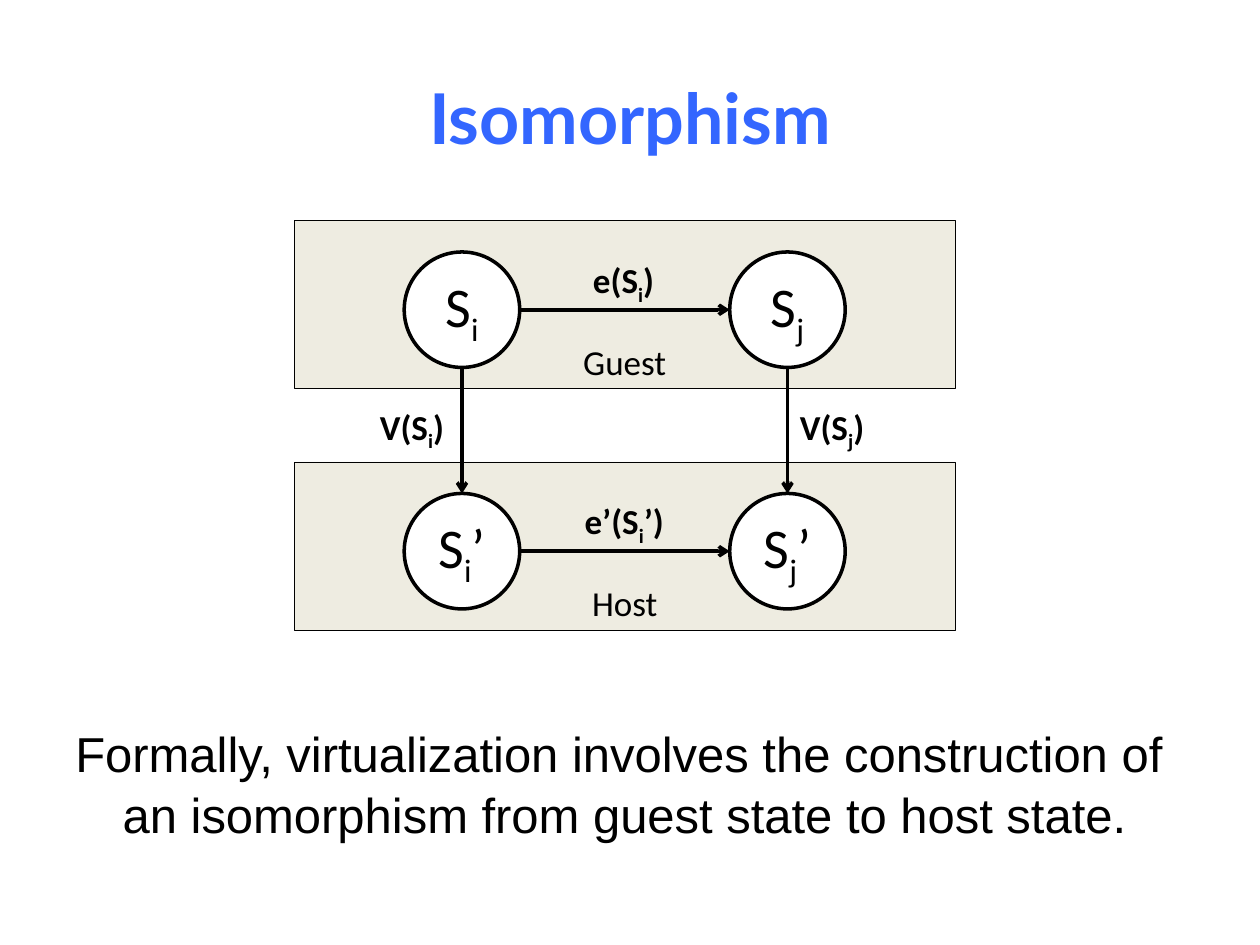
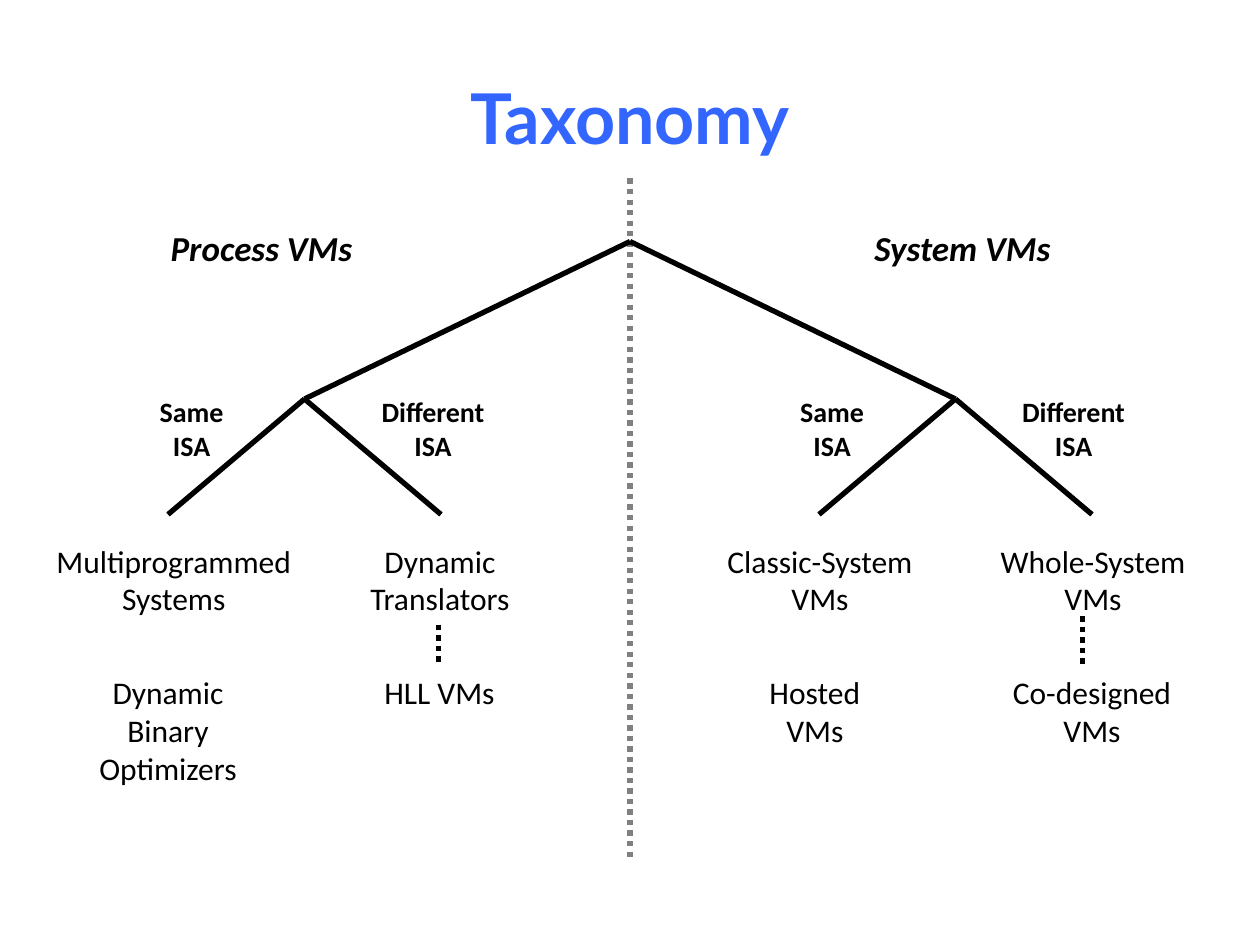
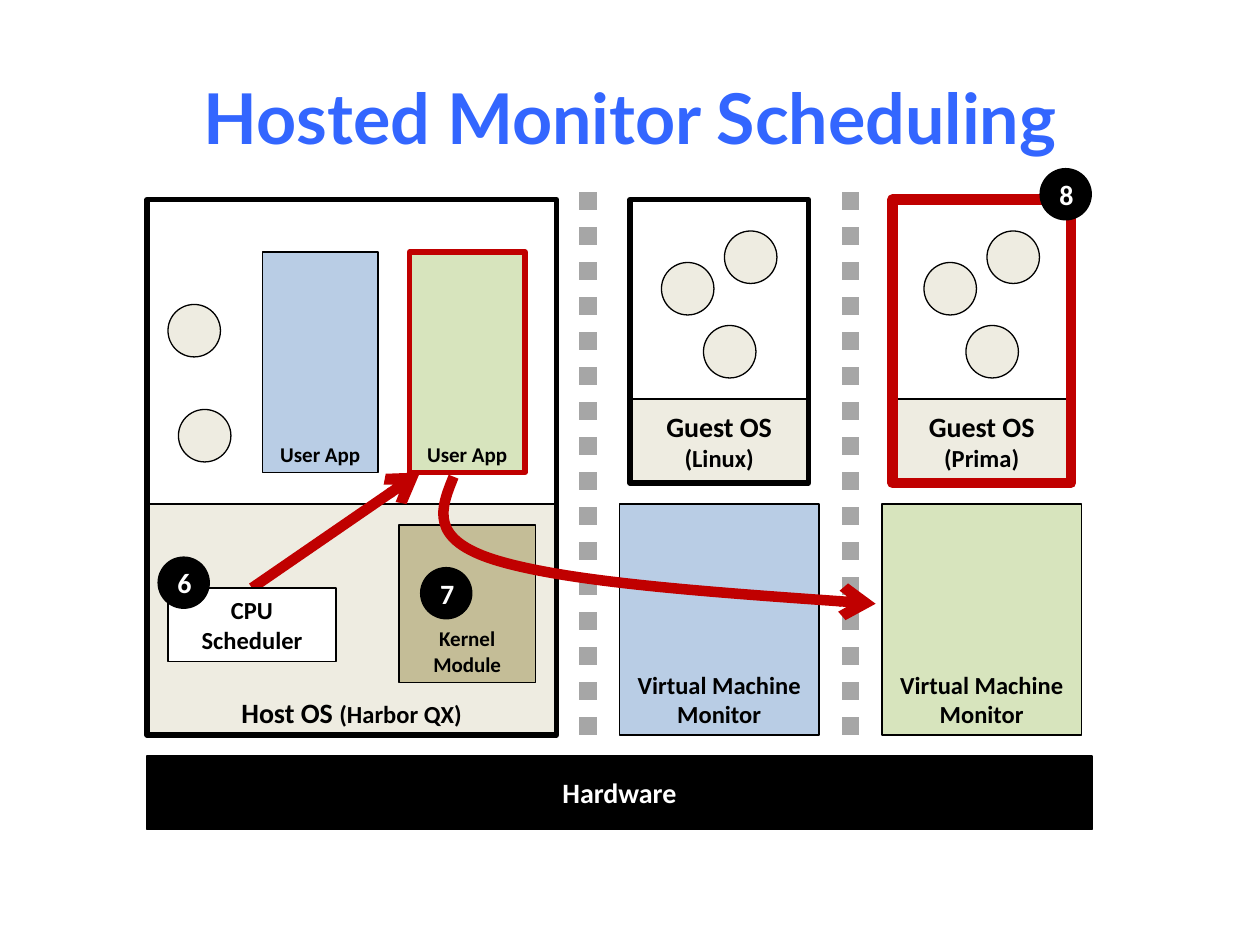
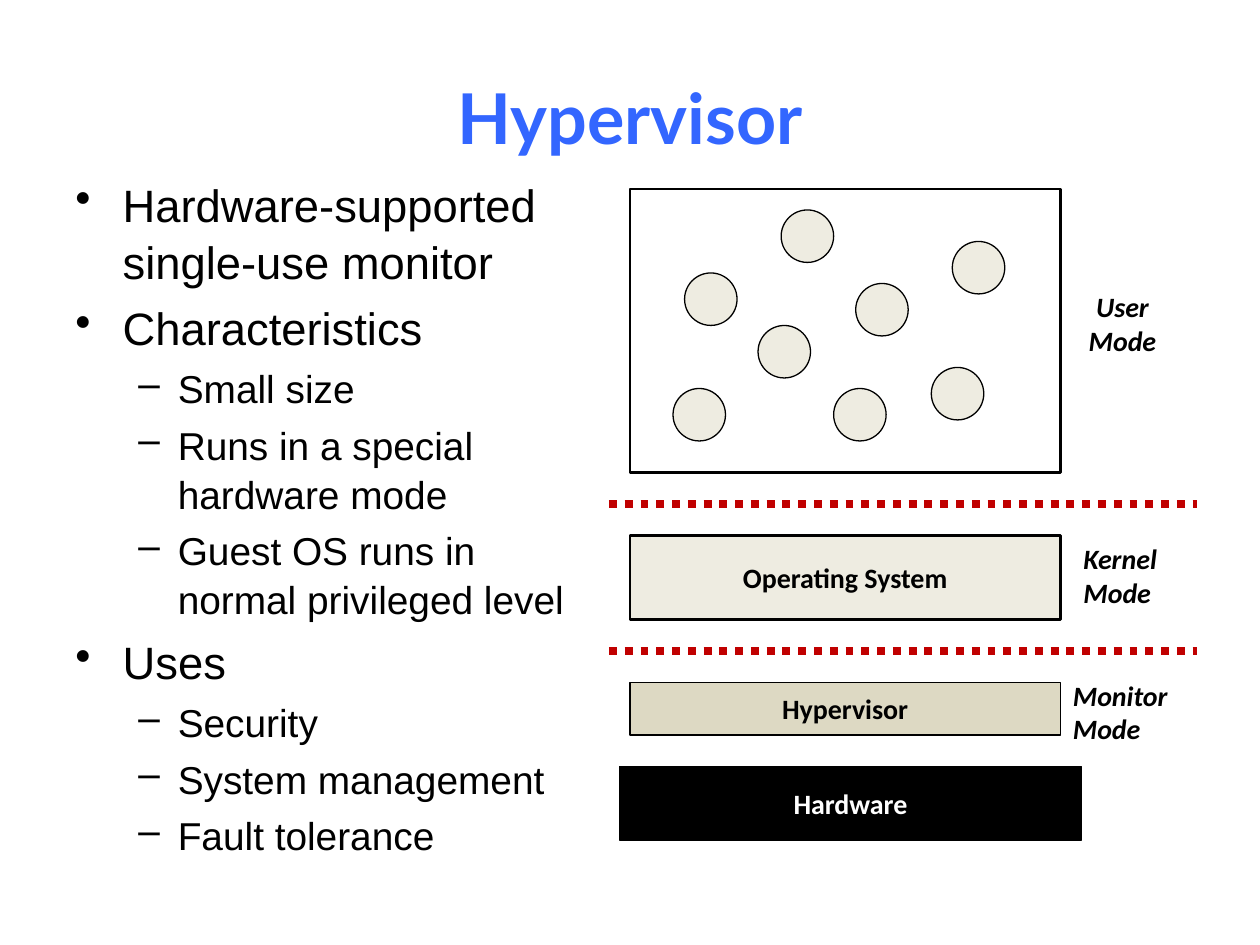
from dataclasses import dataclass, replace
from typing import NamedTuple, Optional, Sequence

from pptx import Presentation
from pptx.dml.color import RGBColor
from pptx.enum.dml import MSO_LINE
from pptx.enum.shapes import MSO_CONNECTOR, MSO_SHAPE
from pptx.enum.text import MSO_ANCHOR, MSO_AUTO_SIZE, PP_ALIGN
from pptx.oxml.ns import qn
from pptx.oxml.xmlchemy import OxmlElement
from pptx.util import Cm, Length, Pt

RECT = MSO_SHAPE.RECTANGLE
OVAL = MSO_SHAPE.OVAL
STRAIGHT = MSO_CONNECTOR.STRAIGHT
DOTTED = MSO_LINE.ROUND_DOT
LEFT, CENTER = PP_ALIGN.LEFT, PP_ALIGN.CENTER
TOP, MIDDLE, BOTTOM = MSO_ANCHOR.TOP, MSO_ANCHOR.MIDDLE, MSO_ANCHOR.BOTTOM

BLACK = RGBColor(0x00, 0x00, 0x00)
WHITE = RGBColor(0xFF, 0xFF, 0xFF)
TITLE_BLUE = RGBColor(0x33, 0x66, 0xFF)
CREAM = RGBColor(0xEE, 0xEC, 0xE1)
SAND = RGBColor(0xDD, 0xD9, 0xC3)
KHAKI = RGBColor(0xC4, 0xBD, 0x97)
SKY = RGBColor(0xB9, 0xCD, 0xE5)
LEAF = RGBColor(0xD7, 0xE4, 0xBD)
RED = RGBColor(0xC0, 0x00, 0x00)
GRAY = RGBColor(0x80, 0x80, 0x80)
SILVER = RGBColor(0xA6, 0xA6, 0xA6)

CELL_CM = 2.54 / 12
COLUMNS, ROWS = 120, 90
PROCESS_SIZE = 5
BODY_LINE_SPACING = 1.05


@dataclass(frozen=True)
class Font:
    size: float
    bold: bool = False
    italic: bool = False
    color: RGBColor = BLACK
    name: str = "Calibri"


class Run(NamedTuple):
    text: str
    font: Font
    sub: bool = False


class Point(NamedTuple):
    x: float
    y: float


class Box(NamedTuple):
    left: float
    top: float
    width: float
    height: float


@dataclass(frozen=True)
class Look:
    fill: Optional[RGBColor] = None
    line: Optional[RGBColor] = BLACK
    weight: float = 0.75
    anchor: int = MIDDLE


@dataclass(frozen=True)
class Stroke:
    weight: float
    color: RGBColor = BLACK
    dotted: bool = False
    arrow: bool = False


class Caption(NamedTuple):
    text: str
    left: float
    top: float
    width: float
    font: Font
    align: int = CENTER


class Level(NamedTuple):
    size: float
    margin: float
    hanging: float
    bullet: str = ""


TITLE = Font(40, bold=True, color=TITLE_BLUE, name="Lato")
LABEL = Font(16, bold=True)
LABEL_WHITE = replace(LABEL, color=WHITE)
MEDIUM = Font(14, bold=True)
SMALL = Font(12, bold=True)
STATE = Font(32)
ROLE = Font(20)
MAPPING = Font(20, bold=True)
FAMILY = Font(20, bold=True, italic=True)
LEAF_TEXT = Font(18)
MODE = Font(16, bold=True, italic=True)

PROCESS = Look(CREAM)
BLACK_BAR = Look(BLACK)
BRANCH = Stroke(3)
MAP_ARROW = Stroke(2, arrow=True)
RED_ARROW = Stroke(6, RED, arrow=True)

STATEMENT = Level(28, 4.5, 4.5)
TOPIC = Level(25.9, 4.5, 4.5, "•")
DETAIL = Level(22.2, 9.75, 3.75, "–")


def grid(cells: float) -> Length:
    return Cm(cells * CELL_CM)


def add_runs(p, runs: Sequence[Run]) -> None:
    for run in runs:
        r = p.add_run()
        r.text = run.text
        font = r.font
        font.name, font.size = run.font.name, Pt(run.font.size)
        font.bold, font.italic = run.font.bold, run.font.italic
        font.color.rgb = run.font.color
        if run.sub:
            r._r.get_or_add_rPr().set("baseline", "-25000")


def next_paragraph(tf, index: int):
    return tf.add_paragraph() if index else tf.paragraphs[0]


def add_title(slide, text: str) -> None:
    s = slide.shapes.add_textbox(*map(grid, Box(6, 3.6, 108, 15)))
    tf = s.text_frame
    tf.word_wrap = True
    tf.vertical_anchor = MIDDLE
    p = tf.paragraphs[0]
    p.alignment = CENTER
    add_runs(p, [Run(text, TITLE)])


def add_body(slide, box: Box, items: Sequence[tuple[str, Level]]) -> None:
    tf = slide.shapes.add_textbox(*map(grid, box)).text_frame
    tf.word_wrap = True
    for i, (text, level) in enumerate(items):
        p = next_paragraph(tf, i)
        pPr = p._p.get_or_add_pPr()
        pPr.set("marL", str(grid(level.margin)))
        pPr.set("indent", str(-grid(level.hanging)))
        if level.bullet:
            bullet = OxmlElement("a:buChar")
            bullet.set("char", level.bullet)
            pPr.append(bullet)
        p.line_spacing = BODY_LINE_SPACING
        if i:
            p.space_before = Pt(round(level.size * 0.2, 1))
        add_runs(p, [Run(text, Font(level.size, name="Arial"))])


def add_label(slide, left: float, top: float, width: float,
              paragraphs: Sequence[Sequence[Run]], align: int = CENTER) -> None:
    height = 1.2 + 0.2 * sum(runs[0].font.size for runs in paragraphs)
    s = slide.shapes.add_textbox(*map(grid, Box(left, top, width, height)))
    tf = s.text_frame
    tf.word_wrap = False
    tf.auto_size = MSO_AUTO_SIZE.SHAPE_TO_FIT_TEXT
    for i, runs in enumerate(paragraphs):
        p = next_paragraph(tf, i)
        p.alignment = align
        add_runs(p, runs)


def add_caption(slide, caption: Caption) -> None:
    paragraphs = [[Run(line, caption.font)] for line in caption.text.split("\n")]
    add_label(slide, caption.left, caption.top, caption.width, paragraphs, caption.align)


def add_box(slide, kind: int, box: Box, look: Look,
            runs: Sequence[Run] = (), space_after: float = 0) -> None:
    s = slide.shapes.add_shape(kind, *map(grid, box))
    s.shadow.inherit = False
    if look.fill is None:
        s.fill.background()
    else:
        s.fill.solid()
        s.fill.fore_color.rgb = look.fill
    if look.line is None:
        s.line.fill.background()
    else:
        s.line.color.rgb = look.line
        s.line.width = Pt(look.weight)
    if runs:
        s.text_frame.vertical_anchor = look.anchor
        p = s.text_frame.paragraphs[0]
        p.alignment = CENTER
        if space_after:
            p.space_after = Pt(space_after)
        add_runs(p, runs)


def apply_stroke(s, stroke: Stroke) -> None:
    s.line.color.rgb = stroke.color
    s.line.width = Pt(stroke.weight)
    if stroke.dotted:
        s.line.dash_style = DOTTED
    if stroke.arrow:
        tail = OxmlElement("a:tailEnd")
        tail.set("type", "arrow")
        s.element.spPr.find(qn("a:ln")).append(tail)


def add_line(slide, start: Point, end: Point, stroke: Stroke) -> None:
    s = slide.shapes.add_connector(STRAIGHT, *map(grid, (*start, *end)))
    apply_stroke(s, stroke)
    s.element.spPr.append(OxmlElement("a:effectLst"))


def add_curve(slide, points: Sequence[Point], stroke: Stroke) -> None:
    start, *controls = [(grid(pt.x), grid(pt.y)) for pt in points]
    builder = slide.shapes.build_freeform(*start)
    builder.add_line_segments(controls, close=False)
    s = builder.convert_to_shape()
    s.shadow.inherit = False
    s.fill.background()
    segments = s.element.findall(".//" + qn("a:lnTo"))
    for i in range(0, len(segments), 3):
        curve = OxmlElement("a:cubicBezTo")
        segments[i].addprevious(curve)
        for segment in segments[i:i + 3]:
            curve.append(segment[0])
            segment.getparent().remove(segment)
    apply_stroke(s, stroke)


def add_processes(slide, corners: Sequence[tuple[float, float]], left: float = 0) -> None:
    for x, y in corners:
        add_box(slide, OVAL, Box(left + x, y, PROCESS_SIZE, PROCESS_SIZE), PROCESS)


def subscripted(font: Font, head: str, index: str, tail: str = "") -> list[Run]:
    runs = [Run(head, font), Run(index, font, sub=True)]
    return runs + [Run(tail, font)] if tail else runs


def build_isomorphism(slide) -> None:
    add_title(slide, "Isomorphism")
    add_body(slide, Box(6, 68, 108, 12.4), [(
        "Formally, virtualization involves the construction of an isomorphism "
        "from guest state to host state.", STATEMENT)])
    size = 11
    states = (("i", 38.5), ("j", 69.5))
    machines = (("Guest", 21, ""), ("Host", 44, "’"))
    for role, top, prime in machines:
        add_box(slide, RECT, Box(28, top, 63, 16), Look(CREAM, weight=0.25, anchor=BOTTOM),
                [Run(role, ROLE)])
        for index, left in states:
            add_box(slide, OVAL, Box(left, top + 3, size, size), Look(WHITE, weight=2),
                    subscripted(STATE, "S", index, prime))
        middle = top + 3 + size / 2
        add_line(slide, Point(49.5, middle), Point(69.5, middle), MAP_ARROW)
    for _, left in states:
        middle = left + size / 2
        add_line(slide, Point(middle, 35), Point(middle, 47), MAP_ARROW)
    mappings = (
        (55.3, 24, 8.4, "e(S", "i", ")"),
        (54.5, 47, 10.1, "e’(S", "i", "’)"),
        (35, 38, 8.6, "V(S", "i", ")"),
        (75, 38, 8.6, "V(S", "j", ")"),
    )
    for left, top, width, head, index, tail in mappings:
        add_label(slide, left, top, width, [subscripted(MAPPING, head, index, tail)], LEFT)


def build_taxonomy(slide) -> None:
    add_title(slide, "Taxonomy")
    add_line(slide, Point(60, 17), Point(60, 82), Stroke(3, GRAY, dotted=True))
    root = Point(60, 23)
    for family in (Point(29, 38), Point(91, 38)):
        add_line(slide, root, family, BRANCH)
        for side in (-13, 13):
            add_line(slide, family, Point(family.x + side, 49), BRANCH)
    captions = (
        Caption("Process VMs", 15, 21, 19.8, FAMILY),
        Caption("System VMs", 82, 21, 19.3, FAMILY),
        Caption("Same\nISA", 14, 37, 8.5, LABEL),
        Caption("Different\nISA", 35, 37, 12.5, LABEL),
        Caption("Same\nISA", 75, 37, 8.5, LABEL),
        Caption("Different\nISA", 96, 37, 12.5, LABEL),
        Caption("Multiprogrammed\nSystems", 4, 51, 25.1, LEAF_TEXT),
        Caption("Dynamic\nTranslators", 34, 51, 15.8, LEAF_TEXT),
        Caption("Classic-System\nVMs", 68, 51, 20.2, LEAF_TEXT),
        Caption("Whole-System\nVMs", 94, 51, 20.2, LEAF_TEXT),
        Caption("Dynamic\nBinary\nOptimizers", 8.2, 63.5, 15.6, LEAF_TEXT),
        Caption("HLL VMs", 35.3, 63.5, 13.1, LEAF_TEXT),
        Caption("Hosted\nVMs", 72, 63.5, 11.2, LEAF_TEXT),
        Caption("Co-designed\nVMs", 95.2, 63.5, 17.6, LEAF_TEXT),
    )
    for caption in captions:
        add_caption(slide, caption)
    for x, top in ((103.1, 58.7), (41.8, 59.5)):
        add_line(slide, Point(x, top), Point(x, 63.5), replace(BRANCH, dotted=True))


def add_guest(slide, left: float, system: str, tint: RGBColor, frame: Look) -> None:
    add_box(slide, RECT, Box(left - 1, 48, 19, 22), Look(tint, anchor=BOTTOM),
            [Run("Virtual Machine Monitor", MEDIUM)])
    add_box(slide, RECT, Box(left, 38, 17, 8), Look(CREAM, weight=1.5),
            [Run("Guest OS ", LABEL), Run(system, MEDIUM)])
    add_box(slide, RECT, Box(left, 19, 17, 19), Look(WHITE, weight=1.5))
    add_processes(slide, ((3, 25), (7, 31), (9, 22)), left)
    add_box(slide, RECT, Box(left, 19, 17, 27), frame)


def add_host(slide) -> None:
    add_box(slide, RECT, Box(14, 48, 39, 22), Look(CREAM, weight=1.5, anchor=BOTTOM),
            [Run("Host OS ", LABEL), Run("(Harbor QX)", MEDIUM)], space_after=6)
    add_box(slide, RECT, Box(14, 19, 39, 29), Look(WHITE, weight=1.5))
    add_processes(slide, ((16, 29), (17, 39)))
    add_box(slide, RECT, Box(14, 19, 39, 51), Look(weight=3))
    blue_app = Look(SKY, anchor=BOTTOM)
    green_app = Look(LEAF, RED, 3, BOTTOM)
    for left, look in ((25, blue_app), (39, green_app)):
        add_box(slide, RECT, Box(left, 24, 11, 21), look, [Run("User App", SMALL)])
    add_box(slide, RECT, Box(38, 50, 13, 15), Look(KHAKI, anchor=BOTTOM),
            [Run("Kernel Module", SMALL)])


def build_scheduling(slide) -> None:
    add_title(slide, "Hosted Monitor Scheduling")
    add_box(slide, RECT, Box(14, 72, 90, 7), BLACK_BAR, [Run("Hardware", LABEL_WHITE)])
    add_host(slide)
    add_guest(slide, 60, "(Linux)", SKY, Look(weight=3))
    add_guest(slide, 85, "(Prima)", LEAF, Look(line=RED, weight=6))
    for x in (56, 81):
        add_line(slide, Point(x, 70), Point(x, 18), Stroke(10, SILVER, dotted=True))
    add_line(slide, Point(24, 56), Point(40, 45), RED_ARROW)
    add_curve(slide, (
        Point(43.2, 45.4),
        Point(42, 48.4), Point(40.7, 51.4), Point(47.4, 53.4),
        Point(54.1, 55.4), Point(68.8, 56.5), Point(83.4, 57.5),
    ), RED_ARROW)
    add_box(slide, RECT, Box(16, 56, 16, 7), Look(WHITE), [Run("CPU Scheduler", MEDIUM)])
    for step, left, top in (("6", 15, 53), ("7", 40, 54), ("8", 99, 16)):
        add_box(slide, OVAL, Box(left, top, 5, 5), Look(BLACK, None),
                [Run(step, LABEL_WHITE)])


def build_hypervisor(slide) -> None:
    add_title(slide, "Hypervisor")
    add_body(slide, Box(6, 16, 51, 64.4), (
        ("Hardware-supported single-use monitor", TOPIC),
        ("Characteristics", TOPIC),
        ("Small size", DETAIL),
        ("Runs in a special hardware mode", DETAIL),
        ("Guest OS runs in normal privileged level", DETAIL),
        ("Uses", TOPIC),
        ("Security", DETAIL),
        ("System management", DETAIL),
        ("Fault tolerance", DETAIL),
    ))
    add_box(slide, RECT, Box(59, 73, 44, 7), BLACK_BAR, [Run("Hardware", LABEL_WHITE)])
    add_box(slide, RECT, Box(60, 65, 41, 5), Look(SAND), [Run("Hypervisor", LABEL)])
    add_box(slide, RECT, Box(60, 51, 41, 8), Look(CREAM, weight=1.5),
            [Run("Operating System", LABEL)])
    add_box(slide, RECT, Box(60, 18, 41, 27), Look(WHITE, weight=1.5))
    add_processes(slide, (
        (72.2, 31), (79.4, 37), (64.1, 37), (81.5, 27),
        (88.7, 35), (65.2, 26), (74.4, 20), (90.7, 23),
    ))
    for y in (48, 62):
        add_line(slide, Point(58, y), Point(114, y), Stroke(4.5, RED, dotted=True))
    modes = (
        Caption("Kernel\nMode", 102, 51, 9.5, MODE, LEFT),
        Caption("Monitor\nMode", 101, 64, 11.6, MODE, LEFT),
        Caption("User\nMode", 102.4, 27, 9, MODE),
    )
    for mode in modes:
        add_caption(slide, mode)


def main() -> None:
    prs = Presentation()
    prs.slide_width, prs.slide_height = grid(COLUMNS), grid(ROWS)
    blank = prs.slide_layouts[6]
    for build in (build_isomorphism, build_taxonomy, build_scheduling, build_hypervisor):
        build(prs.slides.add_slide(blank))
    prs.save("out.pptx")


if __name__ == "__main__":
    main()
